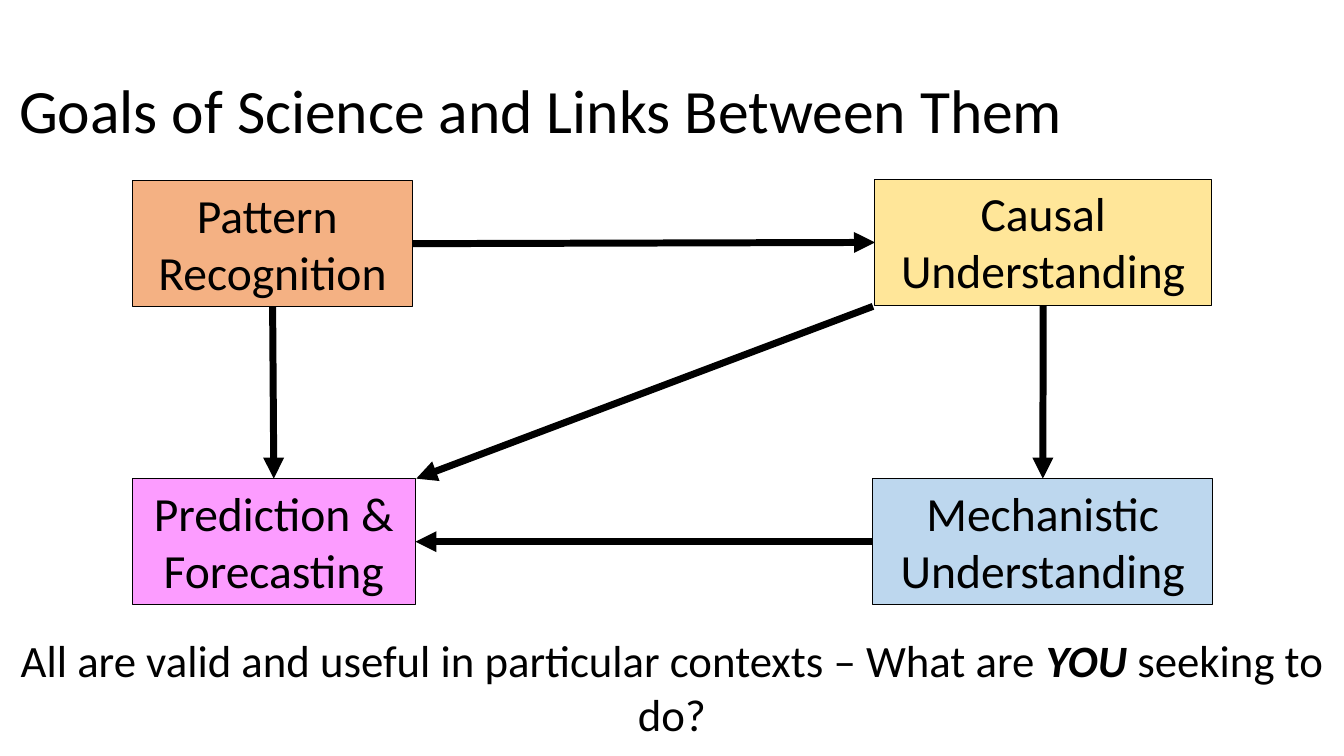
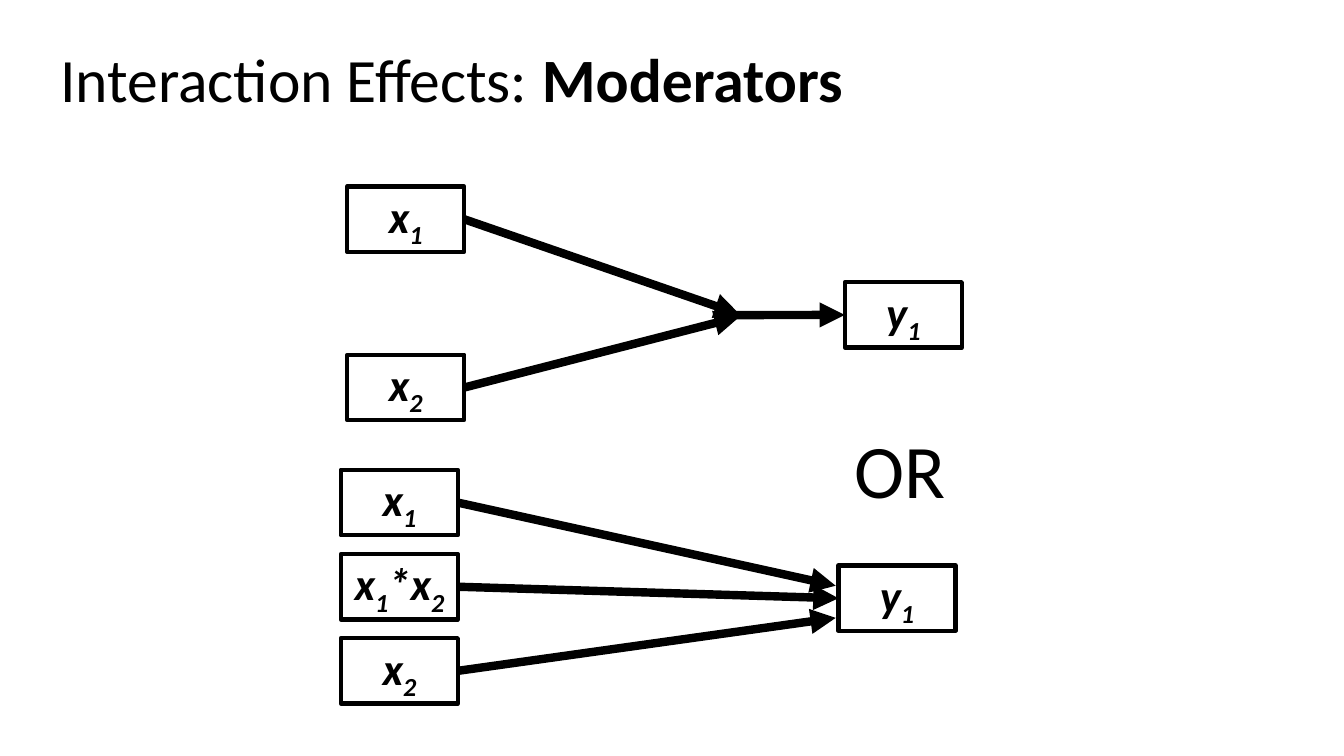
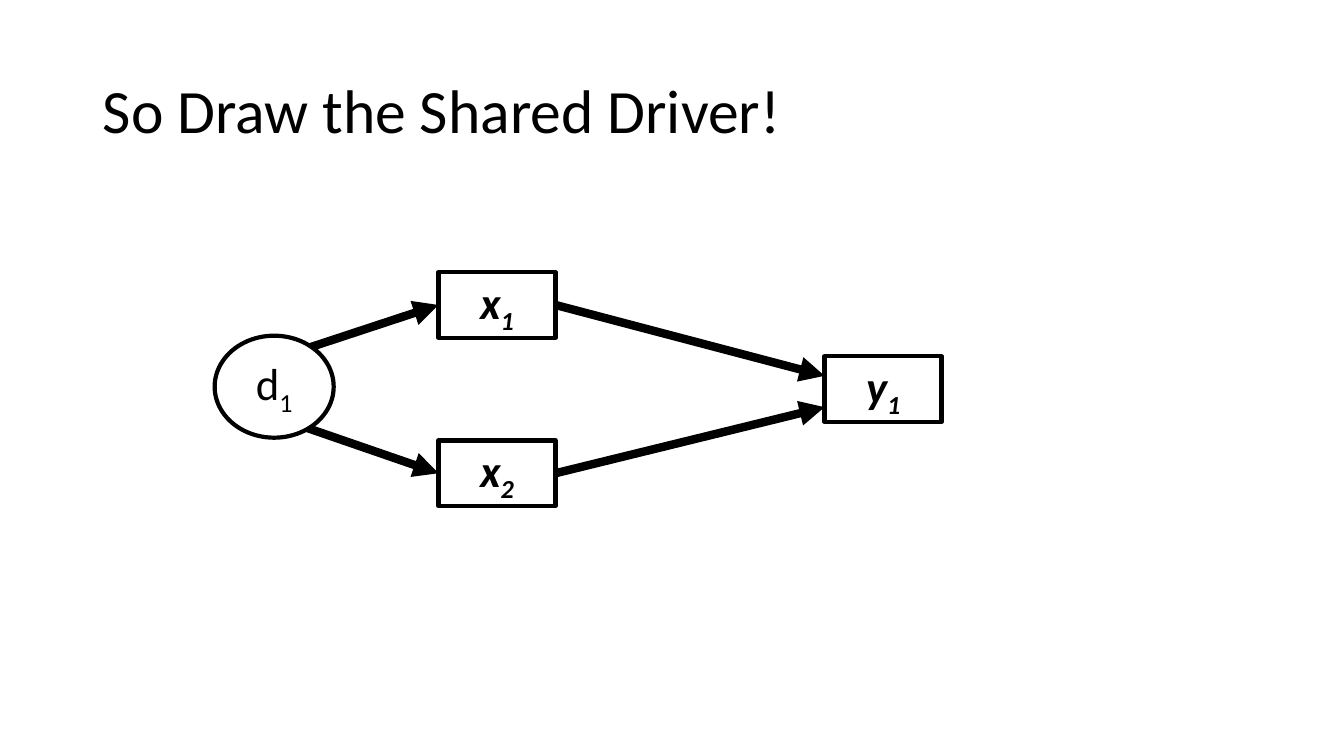
from typing import NamedTuple, Union

from lxml import etree
from pptx import Presentation
from pptx import util as u
from pptx.dml.color import RGBColor
from pptx.enum import shapes, text
from pptx.oxml import ns

FONT = "Calibri"
BLACK = RGBColor(0x00, 0x00, 0x00)
WHITE = RGBColor(0xFF, 0xFF, 0xFF)
ORANGE = RGBColor(0xF4, 0xB1, 0x83)
YELLOW = RGBColor(0xFF, 0xE6, 0x99)
PINK = RGBColor(0xFC, 0x9C, 0xFF)
BLUE = RGBColor(0xBD, 0xD7, 0xEE)

TOP, LEFT, BOTTOM, RIGHT = range(4)
MIDDLE = text.MSO_ANCHOR.MIDDLE
CENTER = text.PP_ALIGN.CENTER
RECT = shapes.MSO_SHAPE.RECTANGLE
OVAL = shapes.MSO_SHAPE.OVAL

SLIDE_W, SLIDE_H = 33.87, 19.05
VAR_W, VAR_H = 2.95, 1.65
VAR_PITCH = 4.24


class Box(NamedTuple):
    left: float
    top: float
    width: float
    height: float


class Run(NamedTuple):
    text: str
    bold: bool = False
    italic: bool = False
    sub: bool = False


class Goal(NamedTuple):
    lines: str
    box: Box
    fill: RGBColor


class Point(NamedTuple):
    x: float
    y: float


class Joint(NamedTuple):
    shape: object
    side: int


End = Union[Point, Joint]


def lengths(values) -> list:
    return [u.Cm(v) for v in values]


def style_run(r, run: Run, size: float) -> None:
    r.font.name = FONT
    r.font.size = u.Pt(size)
    r.font.color.rgb = BLACK
    r.font.bold = run.bold
    r.font.italic = run.italic
    if run.sub:
        r.font._element.set("baseline", "-25000")


def add_runs(p, runs: list[Run], size: float) -> None:
    for run in runs:
        r = p.add_run()
        r.text = run.text
        style_run(r, run, size)


def add_text(s, box: Box, runs: list[Run], size: float, align=None):
    tf = s.shapes.add_textbox(*lengths(box)).text_frame
    tf.word_wrap = True
    p = tf.paragraphs[0]
    p.alignment = align
    add_runs(p, runs, size)
    return tf


def add_title(s, box: Box, *runs: Run) -> None:
    tf = add_text(s, box, list(runs), 44)
    tf.vertical_anchor = MIDDLE
    tf.paragraphs[0].line_spacing = 0.9


def add_outline(s, kind, box: Box, fill, line_width: float):
    sp = s.shapes.add_shape(kind, *lengths(box))
    sp.shadow.inherit = False
    if fill is None:
        sp.fill.background()
    else:
        sp.fill.solid()
        sp.fill.fore_color.rgb = fill
    sp.line.color.rgb = BLACK
    sp.line.width = u.Pt(line_width)
    return sp


def add_goal(s, goal: Goal):
    sp = add_outline(s, RECT, goal.box, goal.fill, 0.75)
    tf = sp.text_frame
    tf.word_wrap = False
    tf.vertical_anchor = text.MSO_ANCHOR.TOP
    tf.text = goal.lines
    for p in tf.paragraphs:
        p.alignment = CENTER
        for r in p.runs:
            style_run(r, Run(r.text), 34)
    return sp


def add_symbol(s, kind, box: Box, symbol: str, fill=None, strong=True):
    sp = add_outline(s, kind, box, fill, 3)
    tf = sp.text_frame
    tf.vertical_anchor = MIDDLE
    p = tf.paragraphs[0]
    p.alignment = CENTER
    runs = [Run(c, strong, strong, c.isdigit()) for c in symbol]
    add_runs(p, runs, 32)
    return sp


def add_variable(s, left: float, top: float, symbol: str):
    return add_symbol(s, RECT, Box(left, top, VAR_W, VAR_H), symbol)


def add_system(s, left: float, top: float, y_dx: float, y_dy: float):
    x1 = add_variable(s, left, top, "x1")
    x2 = add_variable(s, left, top + VAR_PITCH, "x2")
    y1 = add_variable(s, left + y_dx, top + y_dy, "y1")
    return x1, x2, y1


def add_arrow(s, start: End, end: End, width: float = 6) -> None:
    (x1, y1), (x2, y2) = [
        lengths(e) if isinstance(e, Point) else (0, 0) for e in (start, end)
    ]
    cx = s.shapes.add_connector(
        shapes.MSO_CONNECTOR.STRAIGHT, x1, y1, x2, y2)
    if isinstance(start, Joint):
        cx.begin_connect(start.shape, start.side)
    if isinstance(end, Joint):
        cx.end_connect(end.shape, end.side)
    cx.line.color.rgb = BLACK
    cx.line.width = u.Pt(width)
    etree.SubElement(cx.line._get_or_add_ln(), ns.qn("a:tailEnd"),
                     type="triangle")
    etree.SubElement(cx._element.spPr, ns.qn("a:effectLst"))


def goals_slide(s) -> None:
    add_title(s, Box(0.23, 1.02, 33.15, 3.68),
              Run("Goals of Science and Links Between Them"))
    goals = [
        Goal("Pattern \nRecognition", Box(3.35, 4.55, 7.04, 3.18), ORANGE),
        Goal("Causal\nUnderstanding", Box(22.05, 4.52, 8.48, 3.18), YELLOW),
        Goal("Prediction &\nForecasting", Box(3.33, 12.06, 7.14, 3.18), PINK),
        Goal("Mechanistic\nUnderstanding", Box(22, 12.06, 8.56, 3.18), BLUE),
    ]
    pattern, causal, prediction, mechanism = [add_goal(s, g) for g in goals]
    links = [
        (Joint(pattern, RIGHT), Joint(causal, LEFT)),
        (Joint(pattern, BOTTOM), Joint(prediction, TOP)),
        (Joint(causal, BOTTOM), Joint(mechanism, TOP)),
        (Joint(mechanism, LEFT), Joint(prediction, RIGHT)),
        (Point(22, 7.72), Point(10.49, 12.06)),
    ]
    for start, end in links:
        add_arrow(s, start, end, 5)
    add_text(s, Box(0, 15.82, SLIDE_W, 3), [
        Run("All are valid and useful in particular contexts – What are "),
        Run("YOU", bold=True, italic=True),
        Run(" seeking to do?"),
    ], 32, CENTER)


def moderators_slide(s) -> None:
    add_title(s, Box(1.27, 0.23, 29.21, 3.68),
              Run("Interaction Effects: "), Run("Moderators", bold=True))

    x1, x2, y1 = add_system(s, 8.75, 4.7, 12.54, 2.41)
    add_arrow(s, Joint(x2, RIGHT), Point(18.64, 7.98))
    add_arrow(s, Joint(x1, RIGHT), Point(18.64, 7.92))
    add_arrow(s, Point(18.47, 7.94), Joint(y1, LEFT))

    left, top = 8.59, 11.84
    x1, x2, y1 = add_system(s, left, top, 12.54, 2.41)
    product = add_variable(s, left, top + VAR_PITCH / 2, "x1*x2")
    add_arrow(s, Joint(x2, RIGHT), Point(21.06, 15.57))
    add_arrow(s, Joint(x1, RIGHT), Point(21.06, 14.76))
    add_arrow(s, Joint(product, RIGHT), Joint(y1, LEFT))

    add_text(s, Box(21.29, 10.52, 3.3, 2.57), [Run("OR")], 54)


def driver_slide(s) -> None:
    add_title(s, Box(2.34, 1.02, 29.21, 3.68),
              Run("So Draw the Shared Driver!"))
    x1, x2, y1 = add_system(s, 11.05, 6.86, 9.73, VAR_PITCH / 2)
    add_arrow(s, Joint(x2, RIGHT), Point(20.78, 10.26))
    add_arrow(s, Joint(x1, RIGHT), Point(20.78, 9.47))
    add_arrow(s, Point(7.7, 10.77), Joint(x2, LEFT))
    add_arrow(s, Point(7.7, 8.79), Joint(x1, LEFT))
    add_symbol(s, OVAL, Box(5.41, 8.46, 3, 2.57), "d1", WHITE, strong=False)


def main() -> None:
    prs = Presentation()
    prs.slide_width, prs.slide_height = lengths((SLIDE_W, SLIDE_H))
    for build in (goals_slide, moderators_slide, driver_slide):
        build(prs.slides.add_slide(prs.slide_layouts[6]))
    prs.save("out.pptx")


if __name__ == "__main__":
    main()
